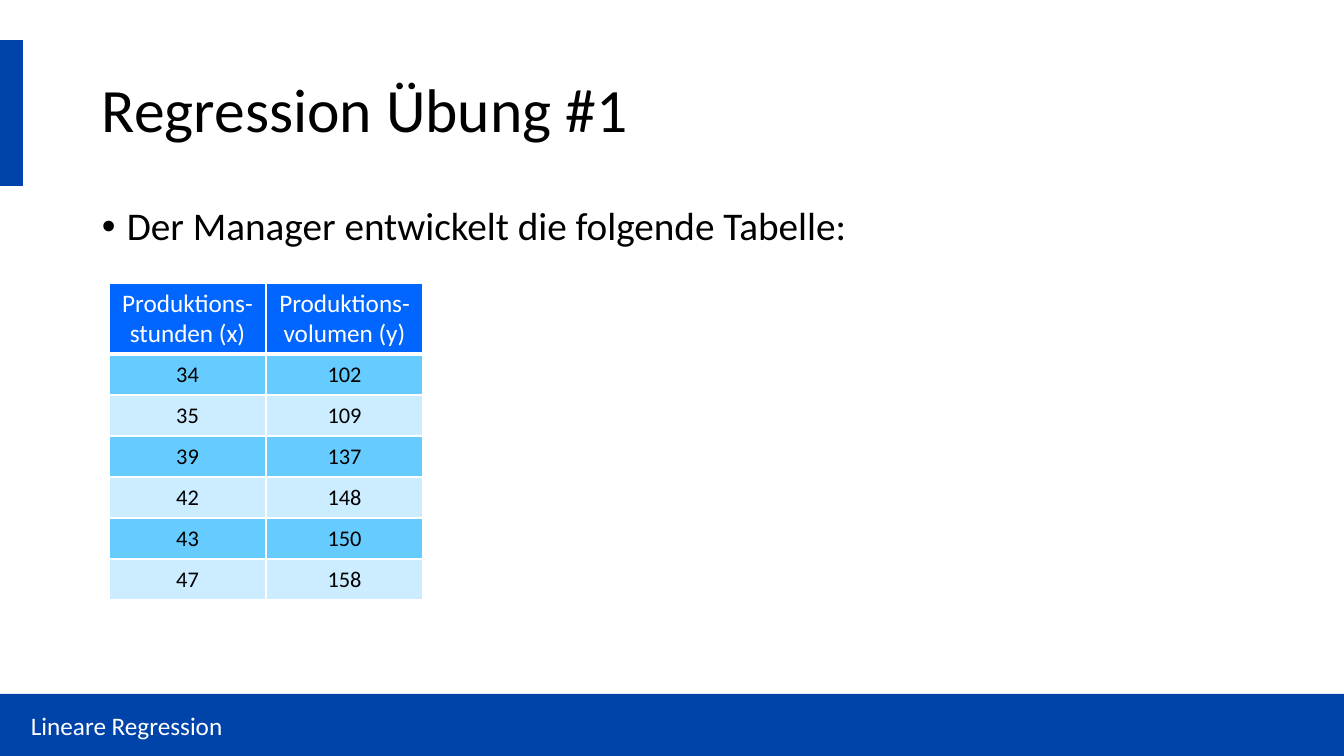
from dataclasses import dataclass

from lxml.etree import SubElement
from pptx import Presentation
from pptx.dml.color import RGBColor
from pptx.enum.shapes import MSO_SHAPE
from pptx.enum.text import MSO_ANCHOR as Anchor, PP_ALIGN as Align
from pptx.oxml import parse_xml
from pptx.oxml.ns import nsdecls, qn
from pptx.slide import Slide
from pptx.table import _Cell as Cell
from pptx.text.text import TextFrame
from pptx.util import Emu, Pt

EMU_PER_PX = 12192000 / 1344
SLIDE_W, SLIDE_H = 1344, 756
FONT = "Calibri"
COLORS = {
    "bar": "0044AA",
    "header": "0066FF",
    "odd row": "66CCFF",
    "even row": "CCECFF",
    "black": "000000",
    "white": "FFFFFF",
}

HEADINGS = ("Produktions-stunden (x)", "Produktions-volumen (y)")
PRODUCTION = ((34, 102), (35, 109), (39, 137), (42, 148), (43, 150), (47, 158))
TABLE_LEFT, TABLE_TOP = 109, 283
COLUMN_W, HEADER_H, ROW_H = 157, 71, 41


@dataclass(frozen=True)
class Box:
    left: int
    top: int
    width: int
    height: int

    def emu(self) -> tuple[Emu, ...]:
        return tuple(px(n) for n in (self.left, self.top, self.width, self.height))


@dataclass(frozen=True)
class Label:
    text: str
    box: Box
    size: int
    color: str = "black"
    anchor: Anchor = Anchor.MIDDLE
    line_spacing: float = 1.0
    space_before: int = 0
    bullet: bool = False


BARS = (Box(0, 40, 23, 146), Box(0, 694, SLIDE_W, 62))
LABELS = (
    Label("Regression Übung #1", Box(92, 40, 1159, 146), 44, line_spacing=0.9),
    Label("Der Manager entwickelt die folgende Tabelle:", Box(92, 202, 1159, 480), 28,
          anchor=Anchor.TOP, line_spacing=0.9, space_before=10, bullet=True),
    Label("Lineare Regression", Box(21, 705, 695, 40), 18, color="white"),
)


def px(length: int) -> Emu:
    return Emu(round(length * EMU_PER_PX))


def rgb(name: str) -> RGBColor:
    return RGBColor.from_string(COLORS[name])


def write(frame: TextFrame, text: str, *, size: int, color: str = "black",
          align: Align = Align.LEFT, line_spacing: float = 1.0,
          space_before: int = 0, bullet: bool = False) -> None:
    frame.word_wrap = True
    paragraph = frame.paragraphs[0]
    paragraph.alignment = align
    paragraph.line_spacing = line_spacing
    paragraph.space_before = Pt(space_before)
    if bullet:
        properties = paragraph._p.get_or_add_pPr()
        properties.set("marL", str(px(25)))
        properties.set("indent", str(px(-25)))
        SubElement(properties, qn("a:buFont"), typeface="Arial")
        SubElement(properties, qn("a:buChar"), char="•")
    run = paragraph.add_run()
    run.text = text
    run.font.name = FONT
    run.font.size = Pt(size)
    run.font.color.rgb = rgb(color)


def add_bar(slide: Slide, box: Box) -> None:
    bar = slide.shapes.add_shape(MSO_SHAPE.RECTANGLE, *box.emu())
    bar.shadow.inherit = False
    bar.fill.solid()
    bar.fill.fore_color.rgb = rgb("bar")
    bar.line.fill.background()


def add_label(slide: Slide, label: Label) -> None:
    frame = slide.shapes.add_textbox(*label.box.emu()).text_frame
    frame.vertical_anchor = label.anchor
    write(frame, label.text, size=label.size, color=label.color,
          line_spacing=label.line_spacing, space_before=label.space_before,
          bullet=label.bullet)


def set_borders(cell: Cell, bottom: int) -> None:
    """Draw white borders of 1 pt, with the bottom one of its own width in pt."""
    widths = {"lnL": 1, "lnR": 1, "lnT": 1, "lnB": bottom}
    properties = cell._tc.get_or_add_tcPr()
    for position, (tag, width) in enumerate(widths.items()):
        properties.insert(position, parse_xml(
            f'<a:{tag} {nsdecls("a")} w="{Pt(width)}"><a:solidFill>'
            f'<a:srgbClr val="{COLORS["white"]}"/></a:solidFill></a:{tag}>'))


def fill_cell(cell: Cell, text: str, fill: str, *, size: int, color: str,
              bottom: int = 1) -> None:
    cell.vertical_anchor = Anchor.MIDDLE
    cell.fill.solid()
    cell.fill.fore_color.rgb = rgb(fill)
    set_borders(cell, bottom)
    write(cell.text_frame, text, size=size, color=color, align=Align.CENTER)


def add_production_table(slide: Slide) -> None:
    box = Box(TABLE_LEFT, TABLE_TOP, COLUMN_W * len(HEADINGS),
              HEADER_H + ROW_H * len(PRODUCTION))
    table = slide.shapes.add_table(
        len(PRODUCTION) + 1, len(HEADINGS), *box.emu()).table
    for column in table.columns:
        column.width = px(COLUMN_W)
    table.rows[0].height = px(HEADER_H)
    for column, heading in enumerate(HEADINGS):
        fill_cell(table.cell(0, column), heading, "header",
                  size=18, color="white", bottom=3)
    for row, values in enumerate(PRODUCTION, start=1):
        table.rows[row].height = px(ROW_H)
        fill = "odd row" if row % 2 else "even row"
        for column, value in enumerate(values):
            cell = table.cell(row, column)
            cell.margin_left = cell.margin_top = cell.margin_right = px(1)
            cell.margin_bottom = 0
            fill_cell(cell, str(value), fill, size=16, color="black")


def main() -> None:
    deck = Presentation()
    deck.slide_width, deck.slide_height = px(SLIDE_W), px(SLIDE_H)
    slide = deck.slides.add_slide(deck.slide_layouts[6])
    for bar in BARS:
        add_bar(slide, bar)
    for label in LABELS:
        add_label(slide, label)
    add_production_table(slide)
    deck.save("out.pptx")


if __name__ == "__main__":
    main()
